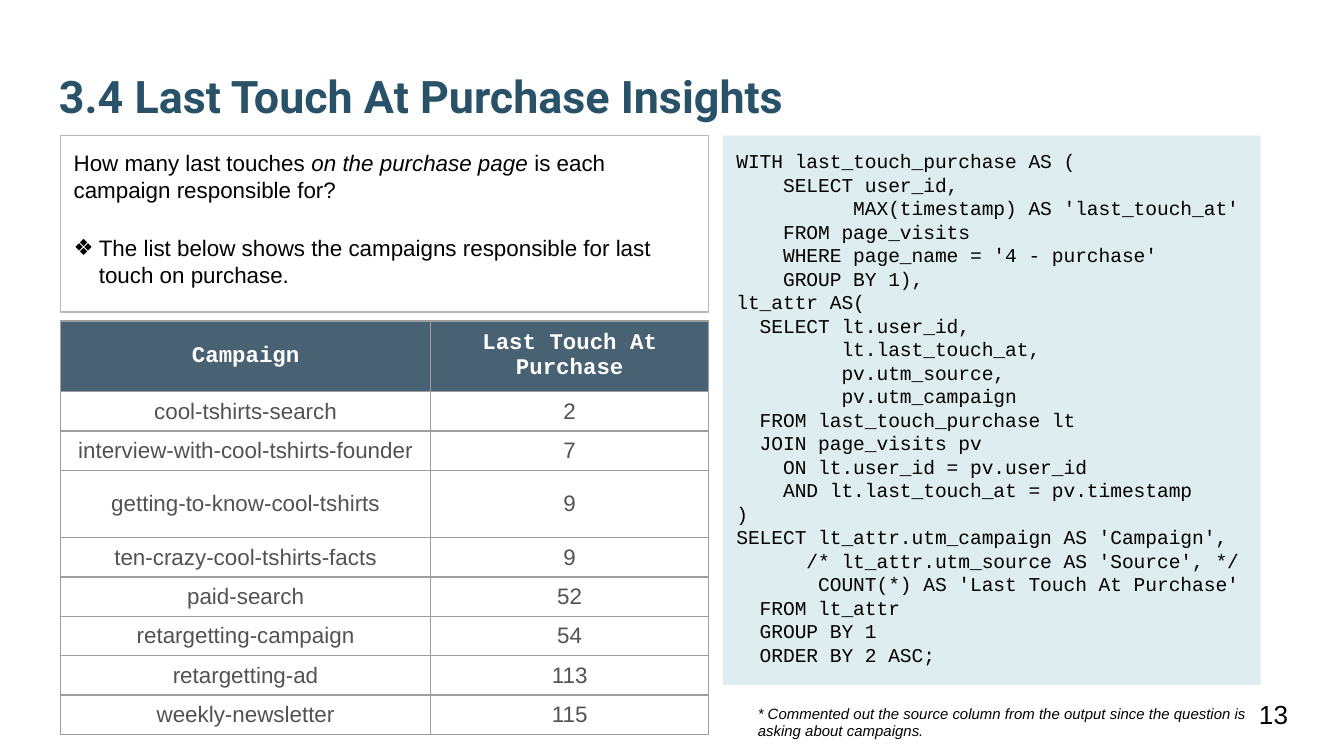
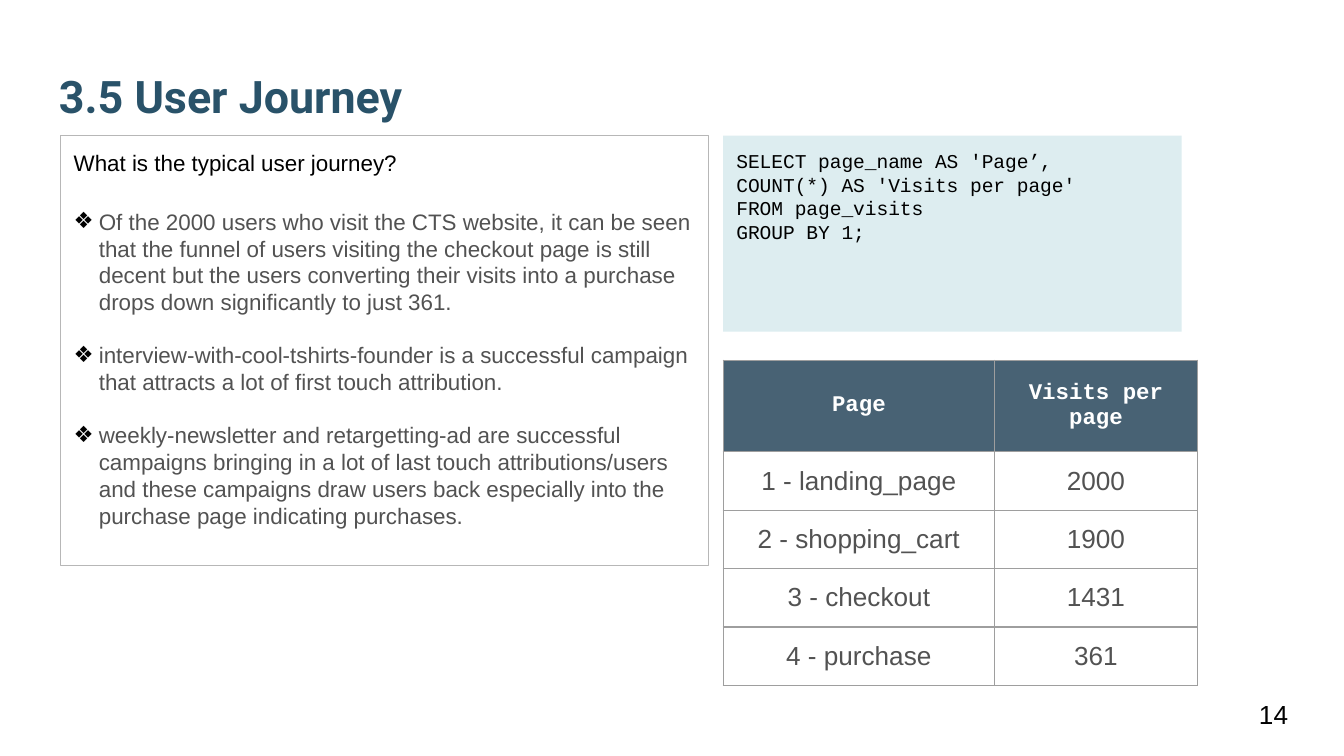
from collections import namedtuple
from dataclasses import dataclass

from lxml.etree import SubElement
from pptx import Presentation
from pptx.dml.color import RGBColor
from pptx.enum.shapes import MSO_SHAPE
from pptx.enum.text import MSO_ANCHOR, PP_ALIGN
from pptx.oxml.ns import qn
from pptx.util import Pt

Box = namedtuple("Box", "left top width height")


def text_format(name, size, color, bold=False, italic=False):
    return {"name": name, "size": Pt(size), "color": color,
            "bold": bold, "italic": italic}


@dataclass(frozen=True)
class Theme:
    black = "000000"
    grey = "525252"
    panel_line = "B7B7B7"
    code_fill = "DDEDF0"
    header_fill = "204056"
    header_opacity = 82
    grid = "9E9E9E"
    line_width = 0.75
    indent = 13.5
    bullet_font = "Arial"
    title = text_format("Roboto", 24, "295269", bold=True)
    body = text_format("Arial", 12, black)
    emphasis = text_format("Arial", 12, black, italic=True)
    muted = text_format("Arial", 12, grey)
    code = text_format("Courier New", 10.5, black)
    header = text_format("Courier New", 12, "FFFFFF", bold=True)
    cell = text_format("Arial", 12, grey)
    large_cell = text_format("Arial", 14, grey)
    number = text_format("Arial", 14, black)
    note = text_format("Arial", 8, black, italic=True)


THEME = Theme()
TOP = 72.7
LEFT = 32.4
RIGHT = 387.4
LEFT_WIDTH = 347.2
TITLE_BOX = Box(24.5, 6.5, 671, 66.2)
NUMBER_BOX = Box(667.4, 367.2, 43.2, 31)

PURCHASE_QUERY = """\
WITH last_touch_purchase AS (
    SELECT user_id,
          MAX(timestamp) AS 'last_touch_at'
    FROM page_visits
    WHERE page_name = '4 - purchase'
    GROUP BY 1),
lt_attr AS(
  SELECT lt.user_id,
         lt.last_touch_at,
         pv.utm_source,
         pv.utm_campaign
  FROM last_touch_purchase lt
  JOIN page_visits pv
    ON lt.user_id = pv.user_id
    AND lt.last_touch_at = pv.timestamp
)
SELECT lt_attr.utm_campaign AS 'Campaign',
      /* lt_attr.utm_source AS 'Source', */
       COUNT(*) AS 'Last Touch At Purchase'
  FROM lt_attr
  GROUP BY 1
  ORDER BY 2 ASC;"""

JOURNEY_QUERY = """\
SELECT page_name AS 'Page’,
COUNT(*) AS 'Visits per page'
FROM page_visits
GROUP BY 1;"""

CAMPAIGN_ROWS = [
    ("Campaign", "Last Touch At Purchase"),
    ("cool-tshirts-search", "2"),
    ("interview-with-cool-tshirts-founder", "7"),
    ("getting-to-know-cool-tshirts", "9"),
    ("ten-crazy-cool-tshirts-facts", "9"),
    ("paid-search", "52"),
    ("retargetting-campaign", "54"),
    ("retargetting-ad", "113"),
    ("weekly-newsletter", "115"),
]

PAGE_ROWS = [
    ("Page", "Visits per page"),
    ("1 - landing_page", "2000"),
    ("2 - shopping_cart", "1900"),
    ("3 - checkout", "1431"),
    ("4 - purchase", "361"),
]

JOURNEY_FINDINGS = [
    "Of the 2000 users who visit the CTS website, it can be seen that the "
    "funnel of users visiting the checkout page is still decent but the users "
    "converting their visits into a purchase drops down significantly to just "
    "361.",
    "interview-with-cool-tshirts-founder is a successful campaign that "
    "attracts a lot of first touch attribution.",
    "weekly-newsletter and retargetting-ad are successful campaigns bringing "
    "in a lot of last touch attributions/users and these campaigns draw users "
    "back especially into the purchase page indicating purchases.",
]


def in_points(box):
    return [Pt(length) for length in box]


def add_span(para, text, text_style):
    span = para.add_run()
    span.text = text
    for name, value in text_style.items():
        if name == "color":
            span.font.color.rgb = RGBColor.from_string(value)
        else:
            setattr(span.font, name, value)


def prepare_frame(frame, anchor=MSO_ANCHOR.TOP, inset=7.2):
    settings = {"word_wrap": True, "vertical_anchor": anchor,
                "margin_left": Pt(7.2), "margin_right": Pt(7.2),
                "margin_top": Pt(inset), "margin_bottom": Pt(inset)}
    for name, value in settings.items():
        setattr(frame, name, value)


def next_para(frame):
    """Return the empty first paragraph, or a new one after the text."""
    first = frame.paragraphs[0]
    para = frame.add_paragraph() if first.runs else first
    para.alignment = PP_ALIGN.LEFT
    return para


def add_label(page, box, text, text_style, anchor, inset=7.2):
    frame = page.shapes.add_textbox(*in_points(box)).text_frame
    prepare_frame(frame, anchor, inset)
    add_span(frame.paragraphs[0], text, text_style)


def add_panel(page, box, fill=None, line=None):
    """Add a rectangle and return its text frame."""
    panel = page.shapes.add_shape(MSO_SHAPE.RECTANGLE, *in_points(box))
    panel.shadow.inherit = False
    if fill:
        panel.fill.solid()
        panel.fill.fore_color.rgb = RGBColor.from_string(fill)
    else:
        panel.fill.background()
    if line:
        panel.line.color.rgb = RGBColor.from_string(line)
        panel.line.width = Pt(THEME.line_width)
    else:
        panel.line.fill.background()
    prepare_frame(panel.text_frame)
    return panel.text_frame


def add_code(page, box, query):
    frame = add_panel(page, box, fill=THEME.code_fill)
    for line in query.splitlines():
        add_span(next_para(frame), line, THEME.code)


def set_bullet(para):
    properties = para._p.get_or_add_pPr()
    properties.set("marL", str(Pt(THEME.indent)))
    properties.set("indent", str(-Pt(THEME.indent)))
    color = SubElement(properties, qn("a:buClr"))
    SubElement(color, qn("a:srgbClr"), val=THEME.black)
    SubElement(properties, qn("a:buFont"), typeface=THEME.bullet_font)
    SubElement(properties, qn("a:buChar"), char="❖")


def add_findings(page, box, question, findings, finding_style):
    """Add the outlined panel: a question of (text, style) spans, then bullets."""
    frame = add_panel(page, box, line=THEME.panel_line)
    para = next_para(frame)
    for text, text_style in question:
        add_span(para, text, text_style)
    for index, finding in enumerate(findings):
        para = next_para(frame)
        para.space_before = Pt(14 if index else 17)
        set_bullet(para)
        add_span(para, finding, finding_style)


def set_borders(cell):
    properties = cell._tc.get_or_add_tcPr()
    for side in ("lnL", "lnR", "lnT", "lnB"):
        border = SubElement(properties, qn(f"a:{side}"),
                            w=str(Pt(THEME.line_width)))
        fill = SubElement(border, qn("a:solidFill"))
        SubElement(fill, qn("a:srgbClr"), val=THEME.grid)


def fill_header(cell):
    cell.fill.solid()
    cell.fill.fore_color.rgb = RGBColor.from_string(THEME.header_fill)
    color = cell._tc.tcPr.find(qn("a:solidFill")).find(qn("a:srgbClr"))
    SubElement(color, qn("a:alpha"), val=str(THEME.header_opacity * 1000))


def add_grid(page, box, rows, widths, heights, cell_style):
    table = page.shapes.add_table(len(rows), len(widths), *in_points(box)).table
    table.first_row = table.horz_banding = False
    for column, width in zip(table.columns, widths):
        column.width = Pt(width)
    for row, height in zip(table.rows, heights):
        row.height = Pt(height)
    for row_index, values in enumerate(rows):
        for column_index, value in enumerate(values):
            cell = table.cell(row_index, column_index)
            cell.vertical_anchor = MSO_ANCHOR.MIDDLE
            cell.margin_top = cell.margin_bottom = Pt(3)
            set_borders(cell)
            if row_index == 0:
                fill_header(cell)
            else:
                cell.fill.background()
            para = cell.text_frame.paragraphs[0]
            para.alignment = PP_ALIGN.CENTER
            add_span(para, value, cell_style if row_index else THEME.header)


def add_page(deck, title, number):
    page = deck.slides.add_slide(deck.slide_layouts[6])
    add_label(page, TITLE_BOX, title, THEME.title, MSO_ANCHOR.BOTTOM)
    add_label(page, NUMBER_BOX, str(number), THEME.number, MSO_ANCHOR.MIDDLE)
    return page


def build_last_touch(deck):
    page = add_page(deck, "3.4 Last Touch At Purchase Insights", 13)
    add_code(page, Box(RIGHT, TOP, 288, 294.3), PURCHASE_QUERY)
    question = [("How many last touches ", THEME.body),
                ("on the purchase page", THEME.emphasis),
                (" is each campaign responsible for?", THEME.body)]
    add_findings(page, Box(LEFT, TOP, LEFT_WIDTH, 94.5), question,
                 ["The list below shows the campaigns responsible for last "
                  "touch on purchase."], THEME.body)
    heights = [37.8, 21.1, 21.1, 36] + [21.1] * 5
    add_grid(page, Box(LEFT, 172, LEFT_WIDTH, sum(heights)), CAMPAIGN_ROWS,
             [198.4, 148.8], heights, THEME.cell)
    add_label(page, Box(398.9, 373.7, 276.5, 26.6),
              "* Commented out the source column from the output since the "
              "question is asking about campaigns.",
              THEME.note, MSO_ANCHOR.TOP, inset=3.6)


def build_user_journey(deck):
    page = add_page(deck, "3.5 User Journey", 14)
    add_findings(page, Box(LEFT, TOP, LEFT_WIDTH, 230.2),
                 [("What is the typical user journey?", THEME.body)],
                 JOURNEY_FINDINGS, THEME.muted)
    add_code(page, Box(RIGHT, TOP, 245.7, 105), JOURNEY_QUERY)
    heights = [49] + [31.3] * 4
    add_grid(page, Box(RIGHT, 193, 254.1, sum(heights)), PAGE_ROWS,
             [145.4, 108.7], heights, THEME.large_cell)


def main():
    deck = Presentation()
    deck.slide_width, deck.slide_height = Pt(720), Pt(405)
    build_last_touch(deck)
    build_user_journey(deck)
    deck.save("out.pptx")


if __name__ == "__main__":
    main()
